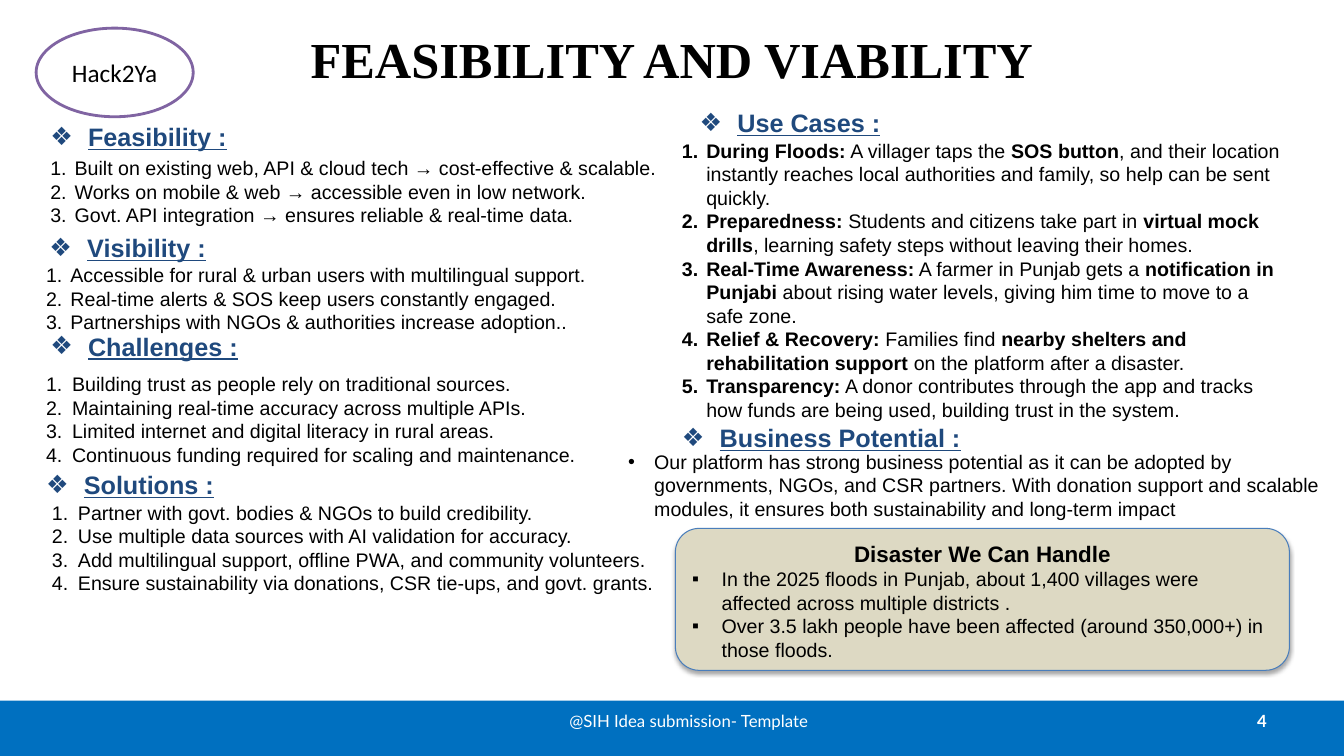
from lxml.etree import SubElement
from pptx import Presentation
from pptx.dml.color import RGBColor
from pptx.enum.shapes import MSO_SHAPE
from pptx.enum.text import MSO_ANCHOR, PP_ALIGN
from pptx.oxml.ns import qn
from pptx.util import Inches, Pt

COLS, ROWS = 160, 90
WIDTH, HEIGHT = Inches(13.33), Inches(7.5)
COLORS = {"black": "000000", "white": "FFFFFF", "navy": "1F497D", "footer": "0070C0",
          "purple": "8064A2", "sand": "DDD9C3", "edge": "4A7EBB", "gray": "808080"}
SECTIONS = [
    ("Feasibility :", (4.8, 13.9), (4.8, 18.6, 88.8), 2.9, "1.", [
        "Built on existing web, API & cloud tech → cost-effective & scalable.",
        "Works on mobile & web → accessible even in low network.",
        "Govt. API integration → ensures reliable & real-time data."]),
    ("Visibility :", (4.7, 27.1), (4.3, 31.3, 89.6), 2.9, "1.", [
        "Accessible for rural & urban users with multilingual support.",
        "Real-time alerts & SOS keep users constantly engaged.",
        "Partnerships with NGOs & authorities increase adoption.."]),
    ("Challenges :", (4.8, 38.8), (4.3, 44.3, 90.8), 3.1, "1.", [
        "Building trust as people rely on traditional sources.",
        "Maintaining real-time accuracy across multiple APIs.",
        "Limited internet and digital literacy in rural areas.",
        "Continuous funding required for scaling and maintenance."]),
    ("Solutions :", (4.3, 55.3), (5, 59.6, 88.9), 3.1, "1.", [
        "Partner with govt. bodies & NGOs to build credibility.",
        "Use multiple data sources with AI validation for accuracy.",
        "Add multilingual support, offline PWA, and community volunteers.",
        "Ensure sustainability via donations, CSR tie-ups, and govt. grants."]),
    ("Use Cases :", (82.1, 12.2), (80, 16.5, 73.9), 2.9, "1.", [
        "**During Floods:** A villager taps the **SOS button**, and their location instantly "
        "reaches local authorities and family, so help can be sent quickly.",
        "**Preparedness:** Students and citizens take part in **virtual mock drills**, "
        "learning safety steps without leaving their homes.",
        "**Real-Time Awareness:** A farmer in Punjab gets a **notification in Punjabi** "
        "about rising water levels, giving him time to move to a safe zone.",
        "**Relief & Recovery:** Families find **nearby shelters and rehabilitation support** "
        "on the platform after a disaster.",
        "**Transparency:** A donor contributes through the app and tracks how funds are "
        "being used, building trust in the system."]),
    ("Business Potential :", (80, 49.7), (73.6, 53.5, 85.3), 3.1, "•", [
        "Our platform has strong business potential as it can be adopted by governments, "
        "NGOs, and CSR partners. With donation support and scalable modules, it ensures "
        "both sustainability and long-term impact"]),
]
FLOODS = ["In the 2025 floods in Punjab, about 1,400 villages were affected across multiple districts .",
          "Over 3.5 lakh people have been affected (around 350,000+) in those floods."]


def rgb(name):
    """Return the named colour."""
    return RGBColor.from_string(COLORS[name])


def place(x, y, w, h):
    """Turn grid columns and rows into slide lengths."""
    return (int(WIDTH * x / COLS), int(HEIGHT * y / ROWS),
            int(WIDTH * w / COLS), int(HEIGHT * h / ROWS))


def add_bullet(p, mark, indent, color):
    """Give a paragraph a hanging bullet or number."""
    pPr = p._p.get_or_add_pPr()
    hang = int(WIDTH * indent / COLS)
    pPr.set("marL", str(hang))
    pPr.set("indent", str(-hang))
    SubElement(SubElement(pPr, qn("a:buClr")), qn("a:srgbClr"), val=COLORS[color])
    SubElement(pPr, qn("a:buFont"), typeface="Arial")
    if mark == "1.":
        SubElement(pPr, qn("a:buAutoNum"), type="arabicPeriod")
    else:
        SubElement(pPr, qn("a:buChar"), char=mark)


def write(tf, text, size=14, font="Arial", color="black", bold=False, underline=False,
          align=PP_ALIGN.LEFT, mark=None, indent=0, spacing=None):
    """Write one paragraph, where ** switches bold on and off."""
    p = tf.paragraphs[0]
    if p.runs:
        p = tf.add_paragraph()
    p.alignment = align
    if spacing:
        p.line_spacing = Pt(spacing)
    if mark:
        add_bullet(p, mark, indent, color)
    for i, part in enumerate(text.split("**")):
        if part:
            r = p.add_run()
            r.text = part
            r.font.size, r.font.name = Pt(size), font
            r.font.bold = bold or i % 2 == 1
            r.font.underline = underline
            r.font.color.rgb = rgb(color)


def add_box(s, box, anchor=MSO_ANCHOR.TOP):
    """Add a wrapping text box and return its text frame."""
    tf = s.shapes.add_textbox(*place(*box)).text_frame
    tf.word_wrap = True
    tf.vertical_anchor = anchor
    return tf


def add_panel(s, kind, box, fill, line=None, width=1, shadow=None, blur=0):
    """Add a filled shape with an optional outline and shadow below it."""
    sp = s.shapes.add_shape(kind, *place(*box))
    sp.fill.solid()
    sp.fill.fore_color.rgb = rgb(fill)
    if line:
        sp.line.color.rgb = rgb(line)
        sp.line.width = Pt(width)
    else:
        sp.line.fill.background()
    sp.shadow.inherit = False
    if shadow:
        effects = sp._element.spPr.find(qn("a:effectLst"))
        outer = SubElement(effects, qn("a:outerShdw"), blurRad=str(Pt(blur)),
                           dist=str(Pt(1.8)), dir="5400000", rotWithShape="0")
        clr = SubElement(outer, qn("a:srgbClr"), val=COLORS[shadow])
        SubElement(clr, qn("a:alpha"), val="35000")
    sp.text_frame.word_wrap = True
    return sp


def add_header(s, x, y, w, h):
    """Place the title and the team badge."""
    tf = add_box(s, (x + w * 0.05, y - 0.6, w * 0.9, h), MSO_ANCHOR.MIDDLE)
    write(tf, "FEASIBILITY AND VIABILITY", size=36, font="Times New Roman", bold=True,
          align=PP_ALIGN.CENTER)
    badge = add_panel(s, MSO_SHAPE.OVAL, (x + 4.3, y + 3.35, 18.7, 10.55), "white", "purple", 2)
    badge.text_frame.vertical_anchor = MSO_ANCHOR.MIDDLE
    write(badge.text_frame, "Hack2Ya", size=18, font="Calibri", align=PP_ALIGN.CENTER)


def add_section(s, heading, heading_at, list_at, indent, mark, items):
    """Place a heading and its list."""
    write(add_box(s, (*heading_at, 45.7, 4.8)), heading, size=18, color="navy", bold=True,
          underline=True, mark="❖", indent=4.5)
    tf = add_box(s, (*list_at, 2.8 * len(items)))
    tf.margin_top = tf.margin_bottom = 0
    for item in items:
        write(tf, item, mark=mark, indent=indent, spacing=16.85)


def add_disasters(s, *box):
    """Place the panel of disasters."""
    sp = add_panel(s, MSO_SHAPE.FLOWCHART_ALTERNATE_PROCESS, box, "sand", "edge", 0.75,
                   shadow="black", blur=3.1)
    tf = sp.text_frame
    tf.vertical_anchor = MSO_ANCHOR.TOP
    write(tf, "Disaster We Can Handle", size=16, bold=True, align=PP_ALIGN.CENTER)
    for item in FLOODS:
        write(tf, item, mark="▪", indent=3.5, spacing=16.85)


def add_footer(s, x, y, w, h):
    """Place the footer band, its caption and the slide number."""
    add_panel(s, MSO_SHAPE.RECTANGLE, (x, y, w, h), "footer", shadow="gray")
    tf = add_box(s, (x + 61, y, 42, 4.8), MSO_ANCHOR.MIDDLE)
    write(tf, "@SIH Idea submission- Template", size=12, font="Lato", color="white",
          align=PP_ALIGN.CENTER)
    tf = add_box(s, (x + 114.7, y, 37.3, 4.8), MSO_ANCHOR.MIDDLE)
    write(tf, "4", size=12, font="Lato", color="white", bold=True, align=PP_ALIGN.RIGHT)


def main():
    """Build the slide and save it."""
    prs = Presentation()
    prs.slide_width, prs.slide_height = WIDTH, HEIGHT
    s = prs.slides.add_slide(prs.slide_layouts[6])
    add_footer(s, 0, 83.4, COLS, 6.6)
    add_header(s, 0, 0, COLS, 15)
    for section in SECTIONS:
        add_section(s, *section)
    add_disasters(s, 80.4, 62.9, 73.1, 16.9)
    prs.save("out.pptx")


if __name__ == "__main__":
    main()
